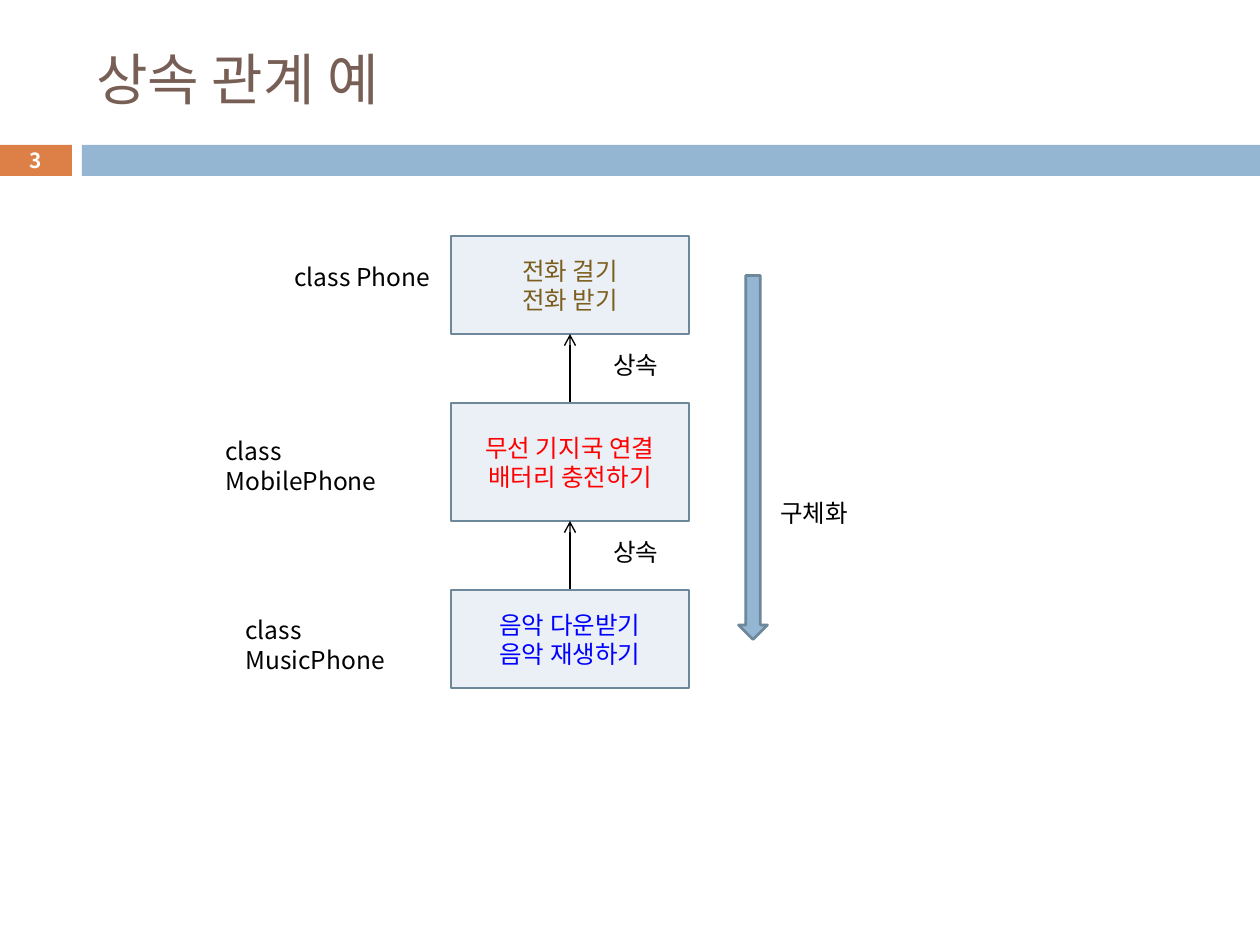
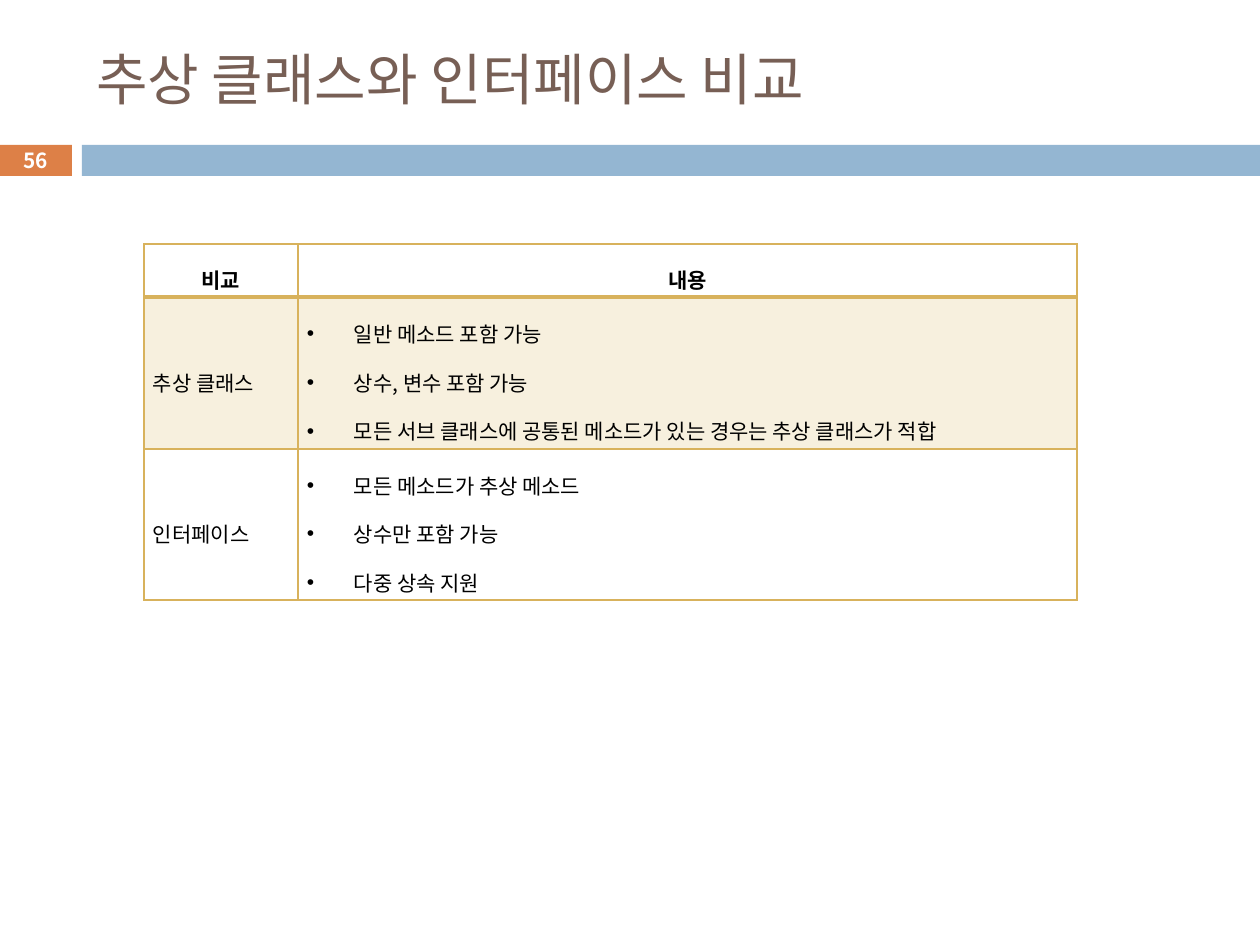
"""Build two slides on class inheritance and on abstract classes versus interfaces."""
from dataclasses import dataclass

from lxml.etree import SubElement
from pptx import Presentation
from pptx.dml.color import RGBColor
from pptx.enum.shapes import MSO_CONNECTOR, MSO_SHAPE
from pptx.enum.text import MSO_ANCHOR, PP_ALIGN
from pptx.oxml.ns import qn
from pptx.util import Pt


@dataclass(frozen=True)
class Theme:
    font: str = "Noto Sans CJK KR"
    title: str = "775F55"
    orange: str = "DD8047"
    blue: str = "94B6D2"
    pale: str = "EAF0F6"
    outline: str = "6D879B"
    gold: str = "D8B25C"
    cream: str = "F7F0DE"
    black: str = "000000"
    white: str = "FFFFFF"
    brown: str = "7C5F1E"
    red: str = "FF0000"
    deep_blue: str = "0000FF"
    title_size: float = 32
    body_size: float = 14
    table_size: float = 12
    number_size: float = 11.9


T = Theme()
EMU_PER_PX = 914400 / 126


def px(n):
    return round(n * EMU_PER_PX)


def rgb(color):
    return RGBColor.from_string(color)


def set_text(tf, lines, size=T.body_size, color=T.black, bold=False, align=PP_ALIGN.LEFT,
             anchor=MSO_ANCHOR.TOP, spacing=None, bullet_indent=0):
    tf.word_wrap = True
    tf.vertical_anchor = anchor
    for i, line in enumerate(lines):
        p = tf.add_paragraph() if i else tf.paragraphs[0]
        p.alignment = align
        if spacing:
            p.line_spacing = spacing
        if bullet_indent:
            pPr = p._p.get_or_add_pPr()
            pPr.set("marL", str(px(bullet_indent)))
            pPr.set("indent", str(-px(bullet_indent)))
            SubElement(pPr, qn("a:buFont"), typeface="Arial")
            SubElement(pPr, qn("a:buChar"), char="•")
        r = p.add_run()
        r.text = line
        r.font.size, r.font.bold, r.font.name = Pt(size), bold, T.font
        r.font.color.rgb = rgb(color)
        SubElement(r._r.get_or_add_rPr(), qn("a:ea"), typeface=T.font)


def add_label(s, text, x, y, w, h=43, **fmt):
    sp = s.shapes.add_textbox(px(x), px(y), px(w), px(h))
    set_text(sp.text_frame, [text], **fmt)


def add_block(s, kind, x, y, w, h, fill, line=None):
    sp = s.shapes.add_shape(kind, px(x), px(y), px(w), px(h))
    sp.shadow.inherit = False
    sp.fill.solid()
    sp.fill.fore_color.rgb = rgb(fill)
    if line:
        sp.line.color.rgb = rgb(line)
        sp.line.width = Pt(1.5)
    else:
        sp.line.fill.background()
    return sp


def add_arrow(s, x, y_from, y_to):
    c = s.shapes.add_connector(MSO_CONNECTOR.STRAIGHT, px(x), px(y_from), px(x), px(y_to))
    c.line.color.rgb = rgb(T.black)
    c.line.width = Pt(0.79)
    spPr = c._element.spPr
    SubElement(spPr.find(qn("a:ln")), qn("a:tailEnd"), type="arrow")
    SubElement(spPr, qn("a:effectLst"))


def add_page(prs, title, number):
    s = prs.slides.add_slide(prs.slide_layouts[6])
    add_block(s, MSO_SHAPE.RECTANGLE, -1, 145, 73, 31, T.orange)
    add_block(s, MSO_SHAPE.RECTANGLE, 82, 145, 1178, 31, T.blue)
    add_label(s, title, 84, 32, 1124, 93, size=T.title_size, color=T.title,
              anchor=MSO_ANCHOR.MIDDLE)
    add_label(s, str(number), -1, 143, 73, 34, size=T.number_size, color=T.white, bold=True,
              align=PP_ALIGN.CENTER, anchor=MSO_ANCHOR.MIDDLE)
    return s


def add_class_chain(s, classes, x=451, y=236, w=238, gap=69):
    for i, (name, name_x, name_dy, name_w, h, color, methods) in enumerate(classes):
        if i:
            add_arrow(s, x + w / 2, y, y - gap)
            add_label(s, "상속", 601, y - gap + 10, 74)
        sp = add_block(s, MSO_SHAPE.FLOWCHART_PROCESS, x, y, w, h, T.pale, T.outline)
        set_text(sp.text_frame, methods, color=color, align=PP_ALIGN.CENTER,
                 anchor=MSO_ANCHOR.MIDDLE)
        add_label(s, name, name_x, y + name_dy, name_w)
        y += h + gap


def set_borders(cell, **widths):
    tcPr = cell._tc.get_or_add_tcPr()
    for side in "LRTB":
        ln = SubElement(tcPr, qn(f"a:ln{side}"), w=str(Pt(widths.get(side, 1))))
        SubElement(SubElement(ln, qn("a:solidFill")), qn("a:srgbClr"), val=T.gold)


def format_cell(cell, lines, fill=None, borders=None, **fmt):
    cell.margin_left = cell.margin_right = px(9)
    cell.margin_top = cell.margin_bottom = px(2)
    cell.vertical_anchor = MSO_ANCHOR.MIDDLE
    set_borders(cell, **(borders or {}))
    if fill:
        cell.fill.solid()
        cell.fill.fore_color.rgb = rgb(fill)
    else:
        cell.fill.background()
    set_text(cell.text_frame, lines, size=T.table_size, anchor=MSO_ANCHOR.MIDDLE,
             spacing=1.6, **fmt)


def add_comparison(s, header, rows, x, y, col_widths, row_heights):
    table = s.shapes.add_table(len(rows) + 1, len(header), px(x), px(y),
                               px(sum(col_widths)), px(sum(row_heights))).table
    table.first_row = table.horz_banding = False
    for col, w in zip(table.columns, col_widths):
        col.width = px(w)
    for row, h in zip(table.rows, row_heights):
        row.height = px(h)
    for j, text in enumerate(header):
        format_cell(table.cell(0, j), [text], borders={"B": 2}, bold=True,
                    align=PP_ALIGN.CENTER)
    for i, (name, points) in enumerate(rows, 1):
        fmt = {"fill": T.cream if i % 2 else None, "borders": {"T": 2 if i == 1 else 1},
               "align": PP_ALIGN.JUSTIFY}
        format_cell(table.cell(i, 0), [name], **fmt)
        format_cell(table.cell(i, 1), points, bullet_indent=47, **fmt)


def build_inheritance(prs):
    s = add_page(prs, "상속 관계 예", 3)
    add_class_chain(s, [
        ("class Phone", 282, 20, 166, 98, T.brown, ["전화 걸기", "전화 받기"]),
        ("class MobilePhone", 213, 27, 230, 118, T.red, ["무선 기지국 연결", "배터리 충전하기"]),
        ("class MusicPhone", 233, 19, 218, 98, T.deep_blue, ["음악 다운받기", "음악 재생하기"]),
    ])
    sp = add_block(s, MSO_SHAPE.RIGHT_ARROW, 571, 443, 364, 29, T.blue, T.outline)
    sp.rotation = 90
    add_label(s, "구체화", 768, 492, 100)


def build_comparison(prs):
    s = add_page(prs, "추상 클래스와 인터페이스 비교", 56)
    add_comparison(s, ["비교", "내용"], [
        ("추상 클래스", ["일반 메소드 포함 가능", "상수, 변수 포함 가능",
                    "모든 서브 클래스에 공통된 메소드가 있는 경우는 추상 클래스가 적합"]),
        ("인터페이스", ["모든 메소드가 추상 메소드", "상수만 포함 가능", "다중 상속 지원"]),
    ], 144, 244, [154, 779], [53, 152, 151])


def main():
    prs = Presentation()
    prs.slide_width, prs.slide_height = px(1260), px(945)
    build_inheritance(prs)
    build_comparison(prs)
    prs.save("out.pptx")


if __name__ == "__main__":
    main()
